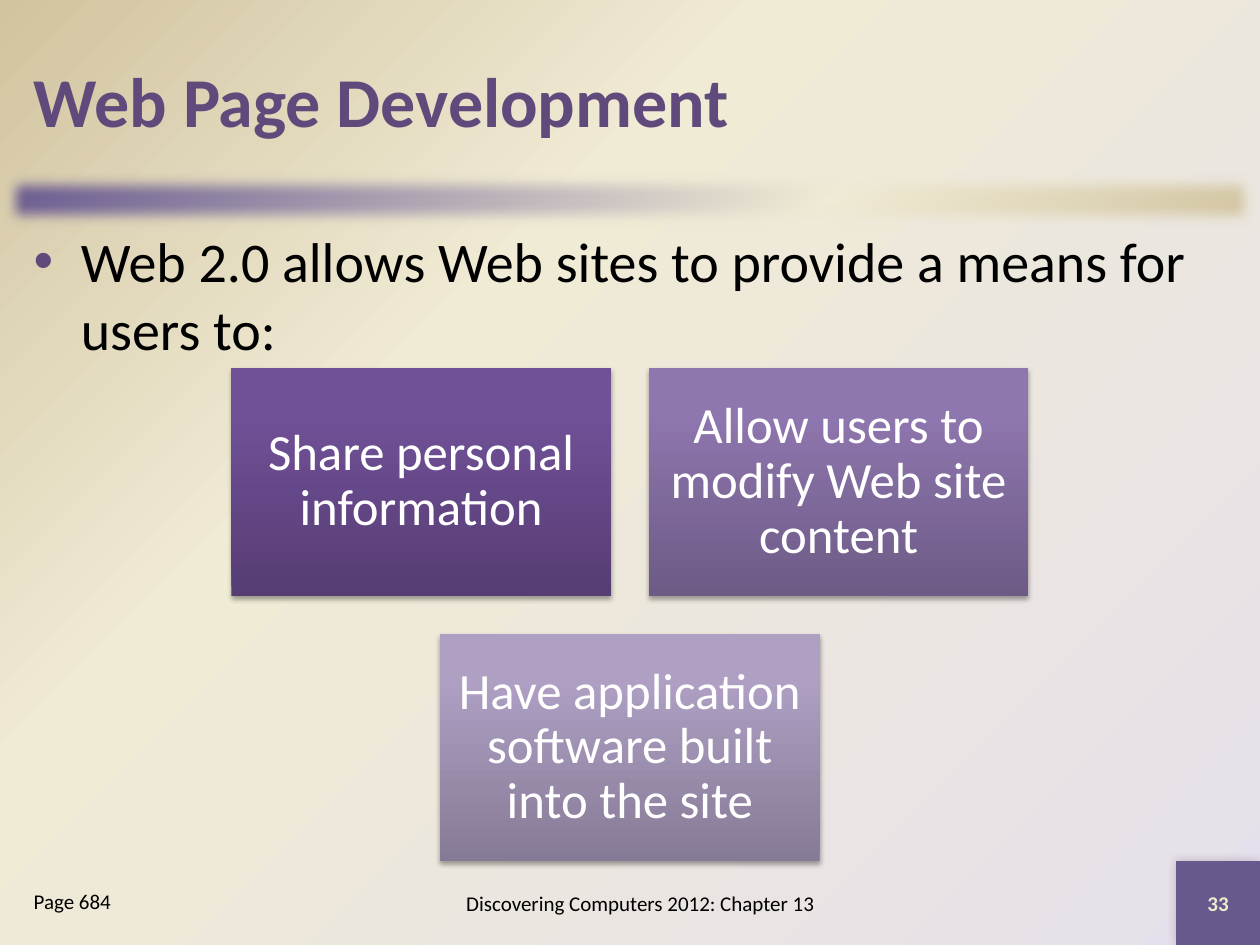
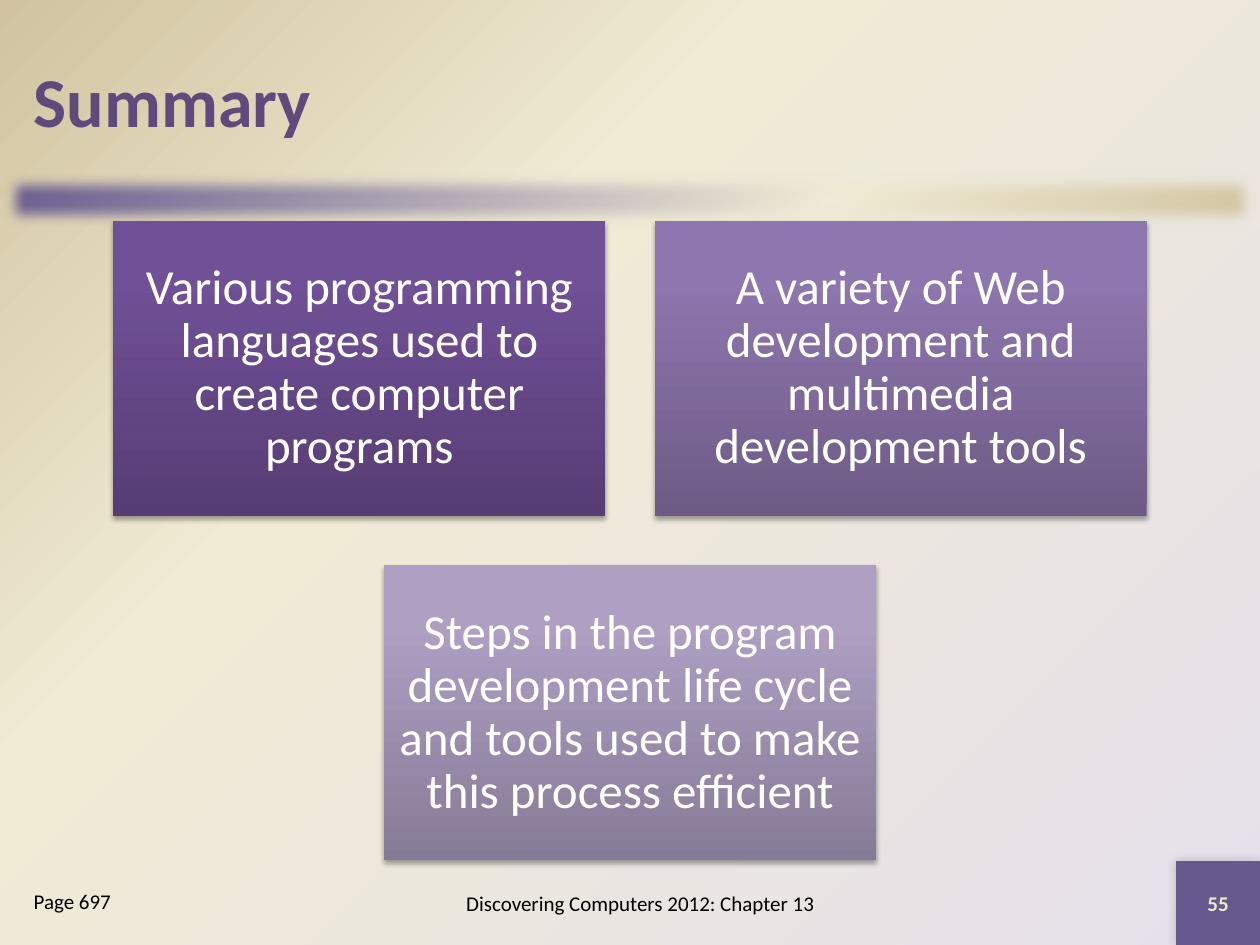
from lxml.etree import SubElement
from pptx import Presentation
from pptx.dml.color import RGBColor
from pptx.enum.shapes import MSO_SHAPE
from pptx.enum.text import MSO_ANCHOR, PP_ALIGN
from pptx.oxml.ns import qn
from pptx.util import Cm, Pt

HUES = {
    "title": "604A7B", "band": "67588E", "sand": "F0EBD5", "tan": "D1C39F",
    "mist": "E6E0EC", "ink": "000000", "white": "FFFFFF", "cream": "EEEBCA",
}
TILES = [
    ("563D74", "705097", "704F99"),
    ("6D5B86", "8E76AE", "8E75B0"),
    ("867B96", "AE9FC3", "AE9FC4"),
]
FONT = "Calibri"
WIDE, HIGH = 25.4, 19.05
EDGE = 0.43
FOOT = "Discovering Computers 2012: Chapter 13"


def add_node(root, tag, **attrs):
    return SubElement(root, qn(tag), {k: str(v) for k, v in attrs.items()})


def blend(root, old, hues, mid, angle=None):
    grad = root.makeelement(qn("a:gradFill"), {"rotWithShape": "1"})
    stops = add_node(grad, "a:gsLst")
    for spot, hue in zip((0, mid, 100), hues):
        stop = add_node(stops, "a:gs", pos=spot * 1000)
        add_node(stop, "a:srgbClr", val=hue)
    if angle is None:
        path = add_node(grad, "a:path", path="circle")
        add_node(path, "a:fillToRect", l=100000, t=100000)
    else:
        add_node(grad, "a:lin", ang=angle * 60000, scaled=0)
    root.replace(root.find(qn(old)), grad)


def shade(shape, alpha, blur, dist, angle):
    effects = shape._element.spPr.find(qn("a:effectLst"))
    shadow = add_node(effects, "a:outerShdw", blurRad=Pt(blur), dist=Pt(dist),
                      dir=angle * 60000, rotWithShape=0)
    hue = add_node(shadow, "a:srgbClr", val=HUES["ink"])
    add_node(hue, "a:alpha", val=alpha * 1000)


def add_rect(slide, box):
    rect = slide.shapes.add_shape(MSO_SHAPE.RECTANGLE, *map(Cm, box))
    rect.shadow.inherit = False
    rect.fill.background()
    rect.line.fill.background()
    return rect


def write(shape, text, size, hue, bold=False, align=PP_ALIGN.LEFT,
          anchor=MSO_ANCHOR.MIDDLE):
    frame = shape.text_frame
    frame.word_wrap = True
    frame.vertical_anchor = anchor
    para = frame.paragraphs[0]
    para.alignment = align
    run = para.add_run()
    run.text = text
    run.font.name = FONT
    run.font.size = Pt(size)
    run.font.bold = bold
    run.font.color.rgb = RGBColor.from_string(HUES[hue])
    return para


def add_text(slide, box, *args, **style):
    return write(slide.shapes.add_textbox(*map(Cm, box)), *args, **style)


def add_head(slide, title):
    band = add_rect(slide, (0, 3.39, WIDE, 1.27))
    spPr = band._element.spPr
    blend(spPr, "a:noFill", [HUES[k] for k in ("band", "sand", "tan")], 65, 45)
    add_node(spPr.find(qn("a:effectLst")), "a:softEdge", rad=112500)
    add_text(slide, (EDGE, EDGE, WIDE - 2 * EDGE, 3.17), title, 40, "title",
             bold=True)


def add_foot(slide, page, number):
    side = 1.69
    badge = add_rect(slide, (WIDE - side, HIGH - side, side, side))
    badge.fill.solid()
    badge.fill.fore_color.rgb = RGBColor.from_string(HUES["band"])
    shade(badge, 20, 6, 0, 225)
    write(badge, number, 12, "cream", bold=True, align=PP_ALIGN.CENTER)
    add_text(slide, (7.62, 17.57, 10.58, 1.27), FOOT, 12, "ink",
             align=PP_ALIGN.CENTER)
    add_text(slide, (EDGE, 17.78, 4.66, 1.27), page, 12, "ink",
             anchor=MSO_ANCHOR.TOP)


def add_lead(slide, text):
    para = add_text(slide, (EDGE, 4.45, WIDE - 2 * EDGE, 2.9), text, 32, "ink",
                    anchor=MSO_ANCHOR.TOP)
    props = para._p.get_or_add_pPr()
    props.set("marL", str(Cm(0.95)))
    props.set("indent", str(-Cm(0.95)))
    tint = add_node(props, "a:buClr")
    add_node(tint, "a:srgbClr", val=HUES["title"])
    add_node(props, "a:buFont", typeface="Arial")
    add_node(props, "a:buChar", char="•")


def add_tiles(slide, top, width, size, texts):
    height, gap = width * 0.6, width * 0.1
    left = (WIDE - 2 * width - gap) / 2
    spots = [
        (left, top),
        (left + width + gap, top),
        ((WIDE - width) / 2, top + height + gap),
    ]
    for spot, hues, text in zip(spots, TILES, texts):
        tile = add_rect(slide, (*spot, width, height))
        blend(tile._element.spPr, "a:noFill", hues, 80, 270)
        shade(tile, 35, 3.1, 1.8, 90)
        frame = tile.text_frame
        frame.margin_left = frame.margin_right = Cm(0.3)
        frame.margin_top = frame.margin_bottom = Cm(0.3)
        para = write(tile, text, size, "white", align=PP_ALIGN.CENTER)
        para.line_spacing = 0.9


def add_slide(deck, title, page, number):
    slide = deck.slides.add_slide(deck.slide_layouts[6])
    slide.background.fill.solid()
    back = slide._element.find(".//" + qn("p:bgPr"))
    blend(back, "a:solidFill", [HUES[k] for k in ("mist", "sand", "tan")], 65)
    add_head(slide, title)
    add_foot(slide, page, number)
    return slide


def main():
    deck = Presentation()
    deck.slide_width, deck.slide_height = Cm(WIDE), Cm(HIGH)

    slide = add_slide(deck, "Web Page Development", "Page 684", "33")
    add_lead(slide, "Web 2.0 allows Web sites to provide a means for users to:")
    add_tiles(slide, 7.42, 7.65, 29, [
        "Share personal information",
        "Allow users to modify Web site content",
        "Have application software built into the site",
    ])

    slide = add_slide(deck, "Summary", "Page 697", "55")
    add_tiles(slide, 4.45, 9.92, 28, [
        "Various programming languages used to create computer programs",
        "A variety of Web development and multimedia development tools",
        "Steps in the program development life cycle and tools used to make "
        "this process efficient",
    ])

    deck.save("out.pptx")


if __name__ == "__main__":
    main()
